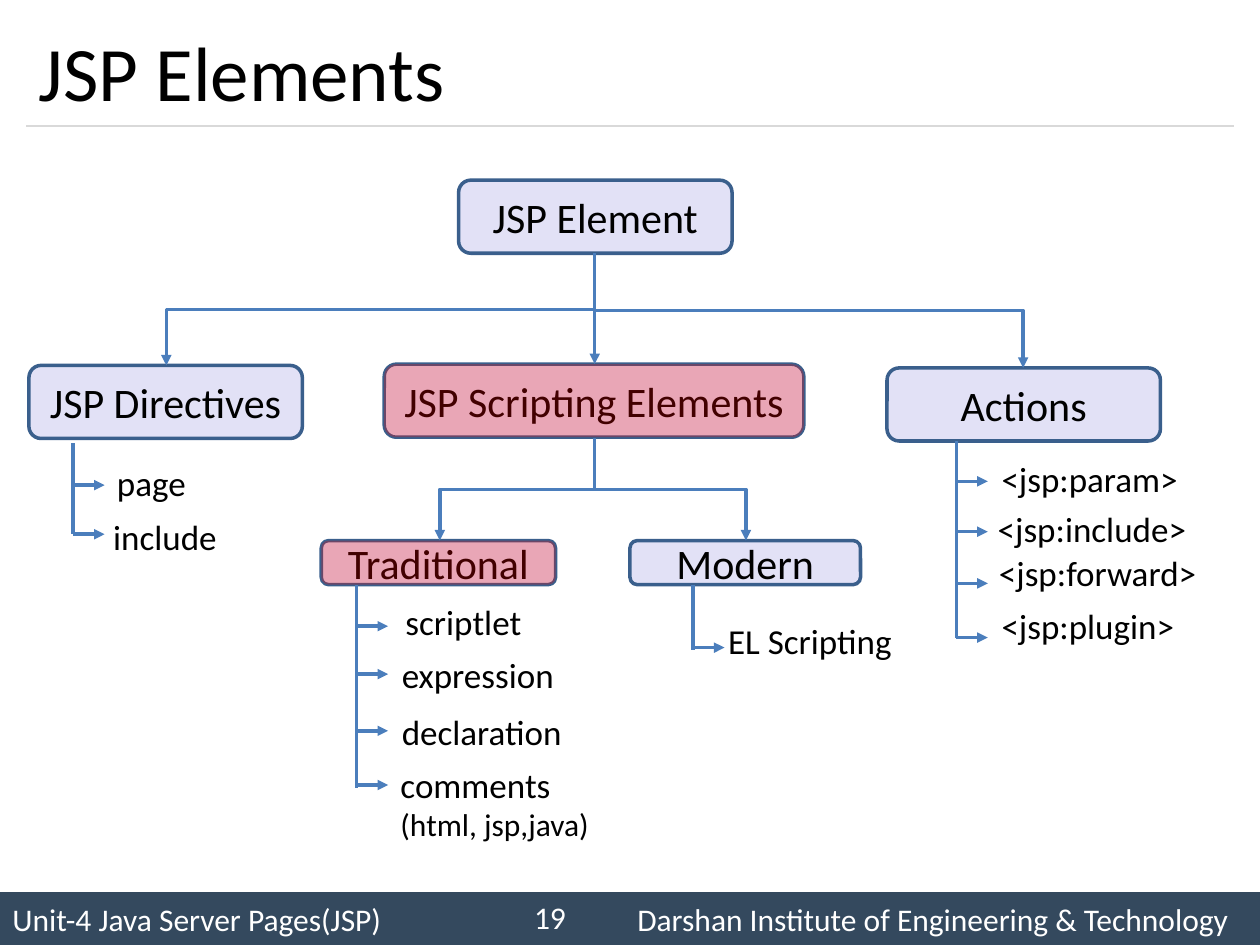
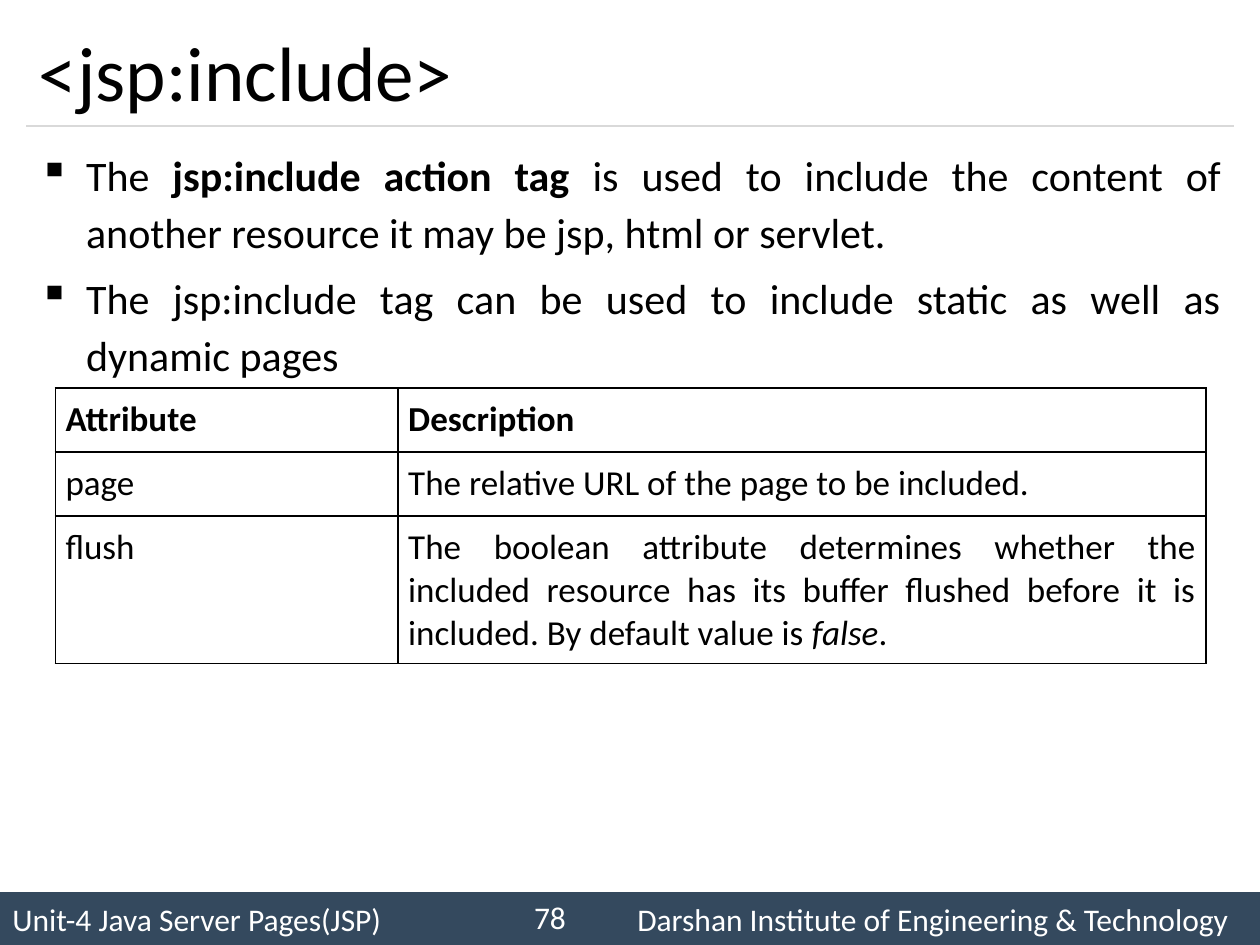
from dataclasses import dataclass
from lxml.etree import SubElement
from pptx import Presentation
from pptx.dml.color import RGBColor
from pptx.enum.shapes import MSO_CONNECTOR, MSO_SHAPE
from pptx.enum.text import MSO_ANCHOR, MSO_AUTO_SIZE, PP_ALIGN
from pptx.oxml.ns import qn
from pptx.util import Inches, Pt


@dataclass(frozen=True)
class Theme:
    font: str = "Calibri"
    ink: str = "000000"
    paper: str = "FFFFFF"
    band: str = "34495E"
    rule: str = "D9D9D9"
    node: str = "130BB5"
    node_edge: str = "3A5F8C"
    arrow: str = "4B7EBC"
    highlight: str = "FF0000"
    title: int = 44
    body: int = 24
    label: int = 20
    footer: int = 18


THEME = Theme()
COLUMNS, ROWS = 100, 75
MARGIN, CONTENT_WIDTH = 2.1, 95.8
BAND_TOP, BAND_HEIGHT = 70.8, 4.2
STUB = 2.5  # length of a leaf arrow
LEAF_HEIGHT = 4.4
COURSE = "Unit-4 Java Server Pages(JSP)"
INSTITUTE = "Darshan Institute of Engineering & Technology"


class Painter:
    """Draws on the current page; positions are columns and rows of a grid."""

    def __init__(self, theme):
        self.theme = theme
        self.deck = Presentation()
        self.deck.slide_width, self.deck.slide_height = Inches(10), Inches(7.5)
        self.page = None

    def across(self, columns):
        return round(self.deck.slide_width * columns / COLUMNS)

    def down(self, rows):
        return round(self.deck.slide_height * rows / ROWS)

    def area(self, left, top, width, height):
        return self.across(left), self.down(top), self.across(width), self.down(height)

    def style(self, para, size, color=None, align=PP_ALIGN.LEFT, bold=False):
        para.alignment = align
        para.font.name, para.font.size, para.font.bold = self.theme.font, Pt(size), bold
        para.font.color.rgb = RGBColor.from_string(color or self.theme.ink)

    def spans(self, para, parts):
        """Each part is plain text or a (text, emphasis) pair."""
        for part in parts:
            text, emphasis = (part, None) if isinstance(part, str) else part
            span = para.add_run()
            span.text = text
            if emphasis:
                setattr(span.font, emphasis, True)

    def text(self, text, place, size, color=None, align=PP_ALIGN.LEFT,
             anchor=MSO_ANCHOR.MIDDLE):
        box = self.page.shapes.add_textbox(*self.area(*place))
        frame = box.text_frame
        frame.word_wrap, frame.vertical_anchor = True, anchor
        frame.text = text
        for para in frame.paragraphs:
            self.style(para, size, color, align)
        return frame

    def label(self, text, place):
        frame = self.text(text, place, self.theme.label, anchor=MSO_ANCHOR.TOP)
        frame.word_wrap, frame.auto_size = False, MSO_AUTO_SIZE.SHAPE_TO_FIT_TEXT
        return frame

    def panel(self, kind, place, color, opacity=100, edge=None):
        shape = self.page.shapes.add_shape(kind, *self.area(*place))
        shape.shadow.inherit = False
        shape.fill.solid()
        shape.fill.fore_color.rgb = RGBColor.from_string(color)
        if opacity < 100:
            tint = shape.fill._xPr.find(qn("a:solidFill"))[0]
            SubElement(tint, qn("a:alpha"), val=str(opacity * 1000))
        if edge:
            shape.line.color.rgb = RGBColor.from_string(edge)
            shape.line.width = Pt(2)
        else:
            shape.line.fill.background()
        return shape

    def node(self, text, place):
        shape = self.panel(MSO_SHAPE.ROUNDED_RECTANGLE, place, self.theme.node, 12,
                           self.theme.node_edge)
        frame = shape.text_frame
        frame.text, frame.vertical_anchor = text, MSO_ANCHOR.MIDDLE
        frame.word_wrap = True
        self.style(frame.paragraphs[0], self.theme.body, align=PP_ALIGN.CENTER)

    def highlight(self, place):
        self.panel(MSO_SHAPE.ROUNDED_RECTANGLE, place, self.theme.highlight, 26)

    def line(self, start, end, color=None, width=2, arrow=False,
             kind=MSO_CONNECTOR.STRAIGHT):
        link = self.page.shapes.add_connector(
            kind, self.across(start[0]), self.down(start[1]),
            self.across(end[0]), self.down(end[1]))
        link.line.color.rgb = RGBColor.from_string(color or self.theme.arrow)
        link.line.width = Pt(width)
        if arrow:
            SubElement(link.line._get_or_add_ln(), qn("a:tailEnd"), type="triangle")
        SubElement(link._element.spPr, qn("a:effectLst"))
        return link

    def elbow(self, start, end):
        """Arrow that leaves downwards: a level elbow turned by a quarter."""
        middle_x, middle_y = (start[0] + end[0]) / 2, (start[1] + end[1]) / 2
        half_drop, half_run = (end[1] - start[1]) / 2, abs(end[0] - start[0]) / 2
        side = 1 if end[0] < start[0] else -1
        link = self.line((middle_x - side * half_drop, middle_y - half_run),
                         (middle_x + side * half_drop, middle_y + half_run),
                         arrow=True, kind=MSO_CONNECTOR.ELBOW)
        link._element.spPr.find(qn("a:xfrm")).set("rot", str(side * 5400000 % 21600000))

    def branch(self, trunk, top, bottom, leaves):
        """A vertical trunk with one arrow and label for every leaf."""
        self.line((trunk, top), (trunk, bottom))
        for text, arrow_row, left, label_row, width in leaves:
            self.line((trunk, arrow_row), (trunk + STUB, arrow_row), arrow=True)
            height = LEAF_HEIGHT + 3 * text.count("\n")
            frame = self.label(text, (left, label_row, width, height))
            for note in frame.paragraphs[1:]:
                note.font.size = Pt(self.theme.footer)

    def bullets(self, items, place):
        frame = self.text("", place, self.theme.body, anchor=MSO_ANCHOR.TOP)
        for index, parts in enumerate(items):
            para = frame.add_paragraph() if index else frame.paragraphs[0]
            props = para._p.get_or_add_pPr()
            props.set("marL", str(Inches(0.375)))
            props.set("indent", str(-Inches(0.375)))
            SubElement(props, qn("a:buChar"), char="▪")
            self.style(para, self.theme.body, align=PP_ALIGN.JUSTIFY)
            para.line_spacing = 1.14
            if index:
                para.space_before = Pt(self.theme.body * 0.2)
            self.spans(para, parts)

    def borders(self, cell):
        props = cell._tc.get_or_add_tcPr()
        for side in ("lnL", "lnR", "lnT", "lnB"):
            edge = SubElement(props, qn(f"a:{side}"), w=str(Pt(1)))
            SubElement(SubElement(edge, qn("a:solidFill")), qn("a:srgbClr"),
                       val=self.theme.ink)

    def table(self, rows, left, top, widths, heights):
        place = self.area(left, top, sum(widths), sum(heights))
        grid = self.page.shapes.add_table(len(rows), len(widths), *place).table
        grid.first_row = grid.horz_banding = False
        for column, width in zip(grid.columns, widths):
            column.width = self.across(width)
        for index, (row, height, values) in enumerate(zip(grid.rows, heights, rows)):
            row.height = self.down(height)
            for cell, parts in zip(row.cells, values):
                self.borders(cell)
                cell.fill.background()
                cell.margin_left = cell.margin_right = Inches(0.08)
                cell.margin_top = cell.margin_bottom = Inches(0.08)
                para = cell.text_frame.paragraphs[0]
                self.style(para, self.theme.label, bold=index == 0,
                           align=PP_ALIGN.JUSTIFY if index else PP_ALIGN.LEFT)
                self.spans(para, parts)

    def new_page(self, title, number):
        """Blank page with the shared footer band, rule and title."""
        self.page = self.deck.slides.add_slide(self.deck.slide_layouts[6])
        self.page.background.fill.solid()
        self.page.background.fill.fore_color.rgb = RGBColor.from_string(self.theme.paper)
        self.panel(MSO_SHAPE.RECTANGLE, (0, BAND_TOP, COLUMNS, BAND_HEIGHT), self.theme.band)
        for text, left, width, height, align in (
                (COURSE, 0, 38, BAND_HEIGHT, PP_ALIGN.LEFT),
                (INSTITUTE, 49.6, 50.4, BAND_HEIGHT, PP_ALIGN.LEFT),
                (number, 39.2, 6.7, 4, PP_ALIGN.RIGHT)):
            self.text(text, (left, BAND_TOP, width, height), self.theme.footer,
                      self.theme.paper, align)
        self.line((MARGIN, 10), (MARGIN + CONTENT_WIDTH, 10), self.theme.rule, 0.75)
        self.text(title, (MARGIN, 1.2, CONTENT_WIDTH, 8.8), self.theme.title)


def elements_page(painter):
    painter.new_page("JSP Elements", "19")

    # Tree nodes
    scripting, traditional = (30.5, 28.9, 33.3, 5.8), (25.5, 42.9, 18.6, 3.5)
    for text, place in (("JSP Element", (36.4, 14.3, 21.7, 5.8)),
                        ("JSP Directives", (2.3, 29, 21.7, 5.8)),
                        ("JSP Scripting Elements", scripting),
                        ("Actions", (70.4, 29.2, 21.7, 5.8)),
                        ("Traditional", traditional),
                        ("Modern", (50, 42.9, 18.3, 3.5))):
        painter.node(text, place)

    # Links between levels
    root, middle = (47.2, 20.1), (47.2, 34.8)
    painter.line(root, (47.2, 28.9), arrow=True)
    for start, end in ((root, (13.2, 29)), (root, (81.2, 29.2)),
                       (middle, (34.9, 42.9)), (middle, (59.2, 42.9))):
        painter.elbow(start, end)

    # Leaves: text, arrow row, label left, label row, label width
    painter.branch(5.8, 35.2, 42.4, (
        ("page", 38.5, 8.3, 36.1, 7.5),
        ("include", 42.4, 8, 40.4, 10.3)))
    painter.branch(28.3, 46.4, 62.5, (
        ("scriptlet", 49.7, 31.2, 47.2, 11.3),
        ("expression", 53.5, 30.9, 51.4, 14.2),
        ("declaration", 58, 30.9, 55.9, 14.9),
        ("comments\n(html, jsp,java)", 62.3, 30.8, 60.1, 17.1)))
    painter.branch(55, 46.4, 51.6, (
        ("EL Scripting", 51.4, 56.8, 48.7, 15.2),))
    painter.branch(75.9, 35, 50.6, (
        ("<jsp:param>", 38.2, 78.5, 35.8, 16.2),
        ("<jsp:include>", 42.2, 78.2, 39.8, 17.1),
        ("<jsp:forward>", 46.3, 78.3, 43.3, 17.8),
        ("<jsp:plugin>", 50.6, 78.5, 47.5, 15.9)))

    # Current topic
    for place in (scripting, traditional):
        painter.highlight(place)


def include_page(painter):
    painter.new_page("<jsp:include>", "78")
    painter.bullets((
        ("The ", ("jsp:include action tag", "bold"),
         " is used to include the content of another resource it may be jsp, "
         "html or servlet."),
        ("The jsp:include tag can be used to include static as well as dynamic pages",),
    ), (MARGIN, 10.8, CONTENT_WIDTH, 58.3))

    # Attributes of the tag
    painter.table((
        (("Attribute",), ("Description",)),
        (("page",), ("The relative URL of the page to be included.",)),
        (("flush",), ("The boolean attribute determines whether the included resource has "
                      "its buffer flushed before it is included. By default value is ",
                      ("false", "italic"), ".")),
    ), 4.4, 30.8, (27.2, 64.1), (5.08, 5.08, 11.7))


def main():
    painter = Painter(THEME)
    elements_page(painter)
    include_page(painter)
    painter.deck.save("out.pptx")


if __name__ == "__main__":
    main()
